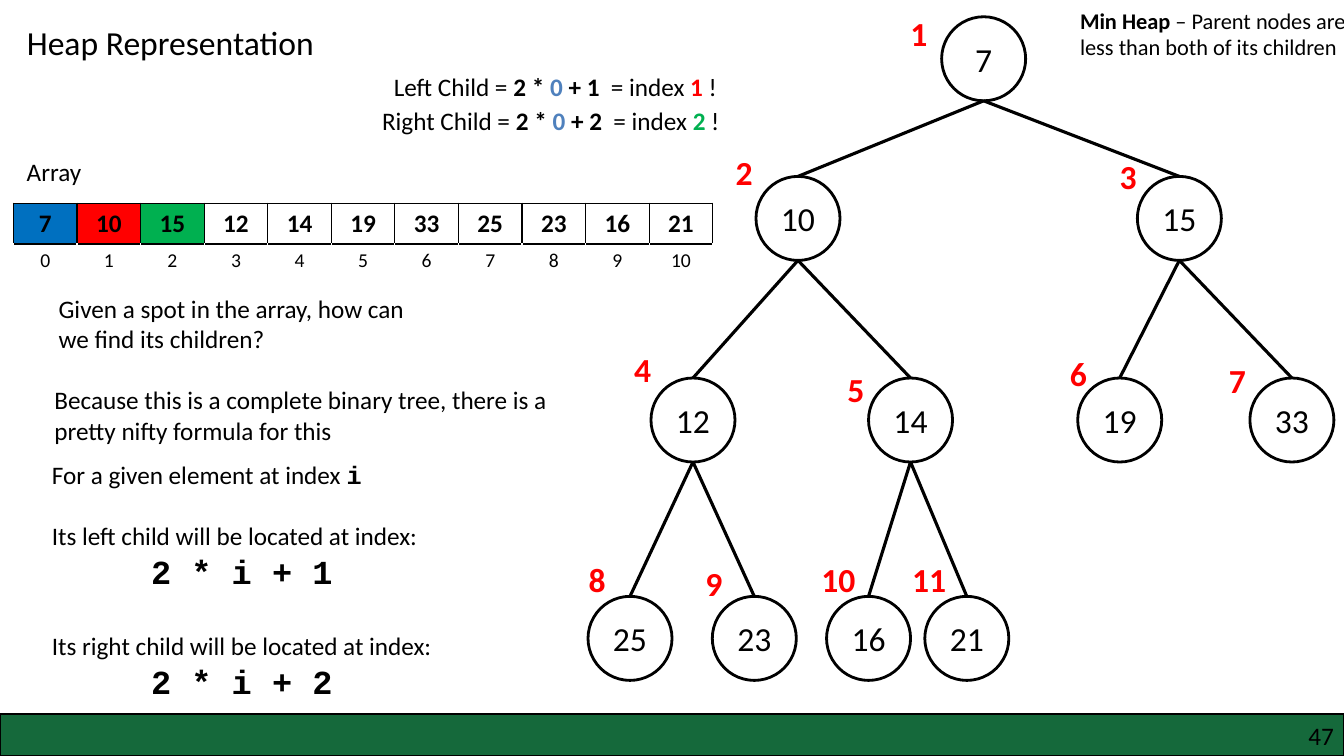
"""Build the slide on representing a heap as an array."""
from dataclasses import dataclass

from lxml.etree import SubElement
from pptx import Presentation
from pptx.dml.color import RGBColor
from pptx.enum.shapes import MSO_CONNECTOR as Connector, MSO_SHAPE as Preset
from pptx.enum.text import MSO_ANCHOR as Anchor, MSO_AUTO_SIZE as AutoSize, PP_ALIGN as Align
from pptx.oxml.ns import qn
from pptx.util import Inches, Pt

BLACK = RGBColor(0x00, 0x00, 0x00)
WHITE = RGBColor(0xFF, 0xFF, 0xFF)
RED = RGBColor(0xFF, 0x00, 0x00)
GREEN = RGBColor(0x00, 0xB0, 0x50)
BLUE = RGBColor(0x00, 0x70, 0xC0)
PALE_BLUE = RGBColor(0x4F, 0x81, 0xBD)
FOOTER_GREEN = RGBColor(0x15, 0x69, 0x3B)
SANS, MONO = "Calibri", "Courier New"

COLUMNS, ROWS = 160, 90
DIAMETER = 10
HEAP = [7, 10, 15, 12, 14, 19, 33, 25, 23, 16, 21]
NODE_LEFTS = [112.1, 90, 135.4, 77.5, 103.4, 128.3, 148.8, 70, 84.8, 98.4, 110.1]
LEVEL_TOPS = [2, 21, 45, 71]
NUMBER_SPOTS = [(107.2, 1), (86.4, 17.5), (132.1, 18), (74.3, 41), (99.7, 43.3),
                (126.2, 41.4), (145.1, 42.2), (68.9, 66), (82.8, 66.4), (96.6, 66), (107.4, 66)]
CELL_FILLS = {0: BLUE, 1: RED, 2: GREEN}


@dataclass
class Span:
    """A stretch of text in one style."""
    text: str
    color: RGBColor = BLACK
    bold: bool = False
    font: str = SANS


def grid(*cells):
    """Turn grid cells of a twelfth of an inch into lengths."""
    return [Inches(cell / 12) for cell in cells]


def write(para, spans, size, align=Align.LEFT):
    """Fill a paragraph, keeping shared styling on the paragraph itself."""
    first = spans[0]
    para.alignment = align
    para.font.size = Pt(size)
    para.font.name = first.font
    para.font.bold = first.bold
    para.font.color.rgb = first.color
    for span in spans:
        run = para.add_run()
        run.text = span.text
        if span.font != first.font:
            run.font.name = span.font
        if span.bold != first.bold:
            run.font.bold = span.bold
        if span.color != first.color:
            run.font.color.rgb = span.color


def add_text(page, area, spans, size, wrap=False):
    """Add a text box that fits its text and return its frame."""
    frame = page.shapes.add_textbox(*grid(*area)).text_frame
    frame.word_wrap = wrap
    frame.auto_size = AutoSize.SHAPE_TO_FIT_TEXT
    write(frame.paragraphs[0], spans, size)
    return frame


def add_title(page, text):
    """Place the title at the top left."""
    title = page.shapes.title
    title.left, title.top, title.width, title.height = grid(2, 2, 40.7, 6)
    frame = title.text_frame
    frame.word_wrap = False
    frame.auto_size = AutoSize.SHAPE_TO_FIT_TEXT
    frame.vertical_anchor = Anchor.TOP
    write(frame.paragraphs[0], [Span(text)], 24)


def add_solid(page, preset, area, fill, line_width):
    """Add a preset shape with a plain fill and a black outline."""
    shape = page.shapes.add_shape(preset, *grid(*area))
    shape.shadow.inherit = False
    shape.fill.solid()
    shape.fill.fore_color.rgb = fill
    shape.line.color.rgb = BLACK
    shape.line.width = Pt(line_width)
    return shape


def add_footer(page, number):
    """Add the footer band and the page number."""
    add_solid(page, Preset.RECTANGLE, (0, 85, COLUMNS, 5), FOOTER_GREEN, 1)
    frame = add_text(page, (122, 85.8, 36.8, 3.6), [Span(number)], 18, wrap=True)
    frame.margin_left = frame.margin_right = frame.margin_top = frame.margin_bottom = 0
    frame.paragraphs[0].alignment = Align.RIGHT


def add_node(page, index):
    """Add the circle for one heap element."""
    level = (index + 1).bit_length() - 1
    area = (NODE_LEFTS[index], LEVEL_TOPS[level], DIAMETER, DIAMETER)
    node = add_solid(page, Preset.OVAL, area, WHITE, 2)
    node.text_frame.vertical_anchor = Anchor.MIDDLE
    write(node.text_frame.paragraphs[0], [Span(str(HEAP[index]))], 24, Align.CENTER)
    return node


def add_branch(page, parent, child):
    """Join the bottom of a parent to the top of its child."""
    branch = page.shapes.add_connector(
        Connector.STRAIGHT, parent.left + parent.width // 2, parent.top + parent.height,
        child.left + child.width // 2, child.top)
    branch.end_connect(child, 0)
    branch.line.color.rgb = BLACK
    branch.line.width = Pt(2.25)
    SubElement(branch.element.spPr, qn("a:effectLst"))


def add_tree(page):
    """Add the nodes, branches and red node numbers."""
    nodes = [add_node(page, index) for index in range(len(HEAP))]
    for index in range(1, len(nodes)):
        add_branch(page, nodes[(index - 1) // 2], nodes[index])
    for number, (left, top) in enumerate(NUMBER_SPOTS, start=1):
        width = 7 if number > 9 else 4.7
        add_text(page, (left, top, width, 6), [Span(str(number), RED, True)], 24)


def add_border(cell, sides):
    """Draw thin black borders on the named sides of a cell."""
    properties = cell._tc.get_or_add_tcPr()
    for side in sides:
        line = SubElement(properties, qn(f"a:ln{side}"), w=str(Pt(1)))
        SubElement(SubElement(line, qn("a:solidFill")), qn("a:srgbClr"), val=str(BLACK))


def add_cell(cell, text, size, bold, sides, fill):
    """Fill and style one table cell."""
    add_border(cell, sides)
    cell.fill.solid()
    cell.fill.fore_color.rgb = fill
    write(cell.text_frame.paragraphs[0], [Span(text, bold=bold)], size, Align.CENTER)


def add_array(page):
    """Add the heap values with their indexes below."""
    table = page.shapes.add_table(2, len(HEAP), *grid(1.6, 24.2, 83.3, 9.7)).table
    table.first_row = table.horz_banding = False
    for index, value in enumerate(HEAP):
        add_cell(table.cell(0, index), str(value), 18, True, "LRTB", CELL_FILLS.get(index, WHITE))
        add_cell(table.cell(1, index), str(index), 14, False, "T", WHITE)


def add_example(page, area, side, offset, color):
    """Add the worked example for one child of the root."""
    spans = [Span(f"{side} Child = "), Span("2 * ", bold=True), Span("0", PALE_BLUE, True),
             Span(f" + {offset}  ", bold=True), Span("= index "),
             Span(offset, color, True), Span(" !")]
    add_text(page, area, spans, 18)


def add_formulas(page):
    """Add the general formulas for both children."""
    intro = [Span("For a given element at index "), Span("i", bold=True, font=MONO)]
    frame = add_text(page, (5, 54.1, 51.6, 35.2), intro, 18)
    for side, offset, gap in (("left", 1, 22), ("right", 2, 28)):
        para = frame.add_paragraph()
        para.space_before = Pt(gap)
        write(para, [Span(f"Its {side} child will be located at index:")], 18)
        formula = Span(f"2 * i + {offset}", bold=True, font=MONO)
        write(frame.add_paragraph(), [formula], 24, Align.CENTER)


def main():
    """Build and save the deck."""
    deck = Presentation()
    deck.slide_width, deck.slide_height = grid(COLUMNS, ROWS)
    page = deck.slides.add_slide(deck.slide_layouts[5])
    add_footer(page, "47")
    add_title(page, "Heap Representation")
    add_tree(page)
    add_text(page, (127.4, 0.2, 36, 10.9),
             [Span("Min Heap ", bold=True),
              Span("– Parent nodes are less than both of its children")], 16, wrap=True)
    add_array(page)
    add_text(page, (2, 18, 9.7, 4.8), [Span("Array")], 18)
    add_text(page, (5.8, 34.3, 46.6, 8.5),
             [Span("Given a spot in the array, how can we find its children?")], 18, wrap=True)
    add_text(page, (5.3, 45.2, 61, 8.5),
             [Span("Because this is a complete binary tree, there is "
                   "a pretty nifty formula for this")], 18, wrap=True)
    add_formulas(page)
    add_example(page, (45.7, 7.9, 45.7, 4.8), "Left", "1", RED)
    add_example(page, (44.3, 12, 49.4, 4.8), "Right", "2", GREEN)
    deck.save("out.pptx")


if __name__ == "__main__":
    main()
